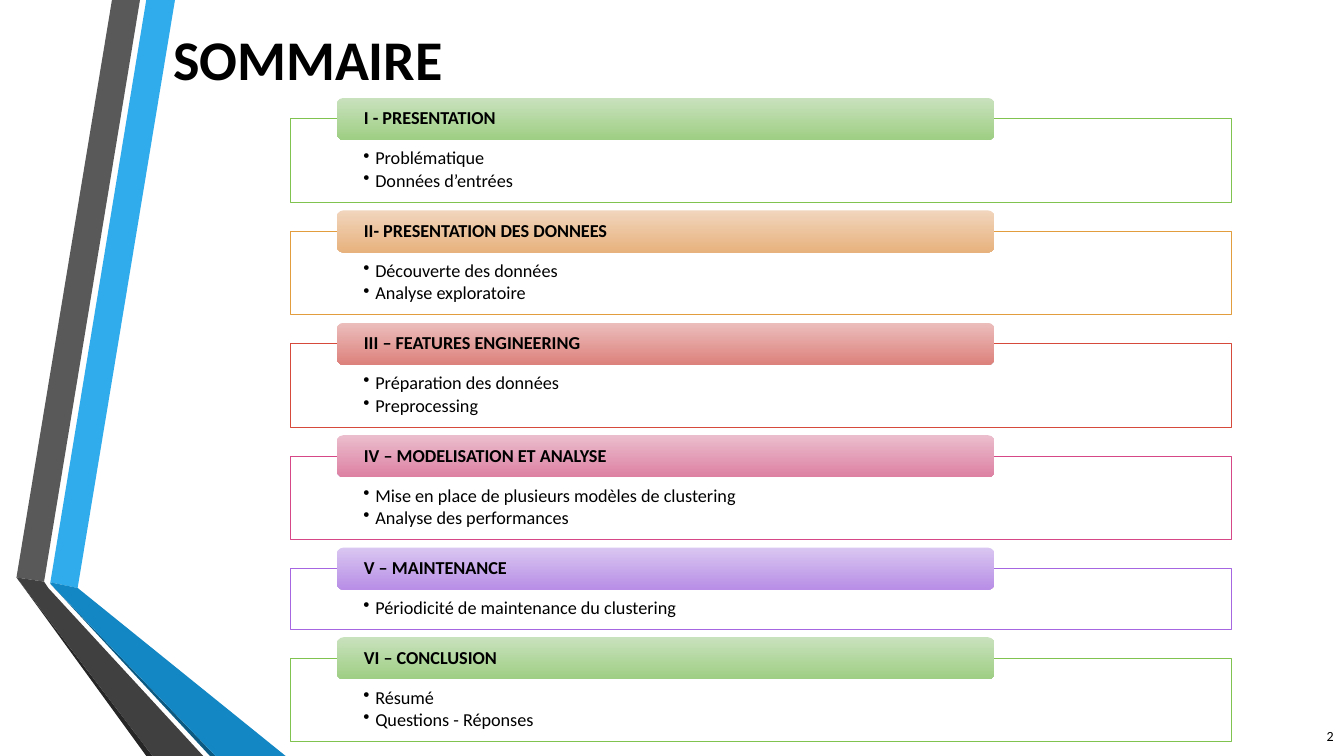
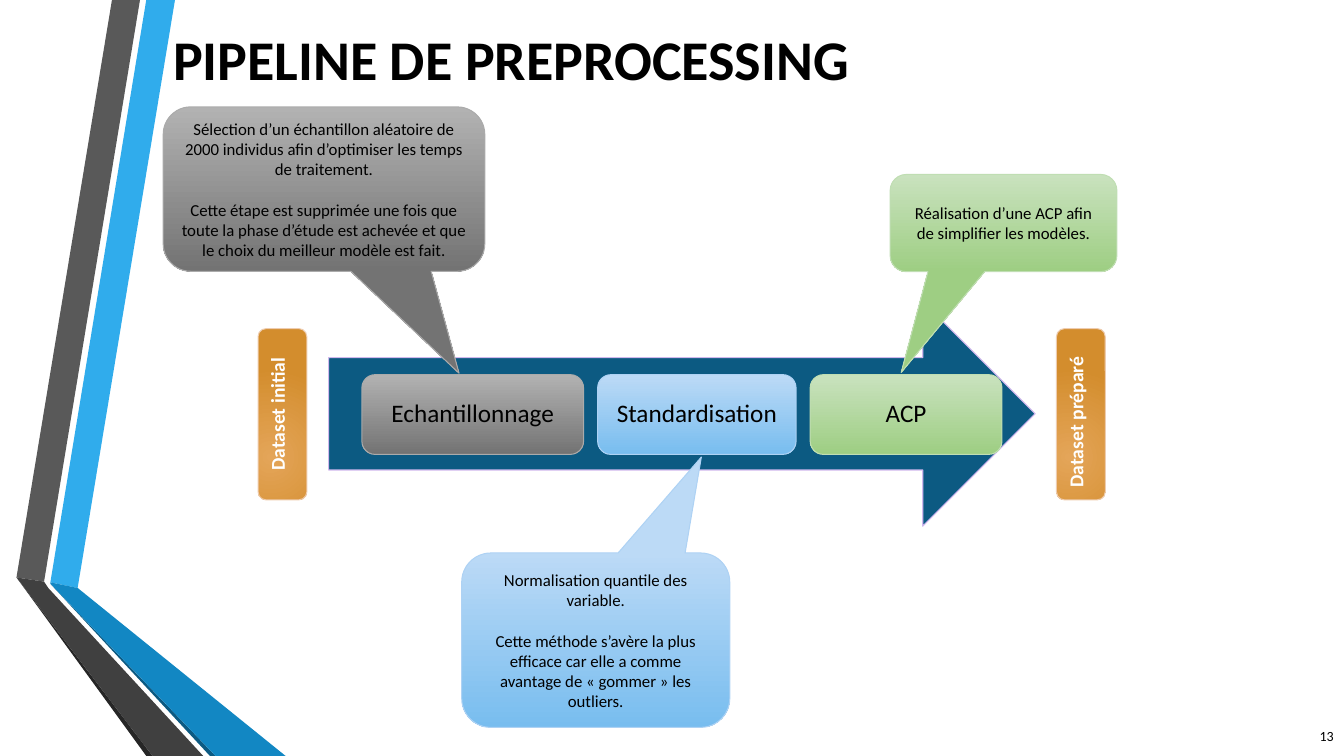
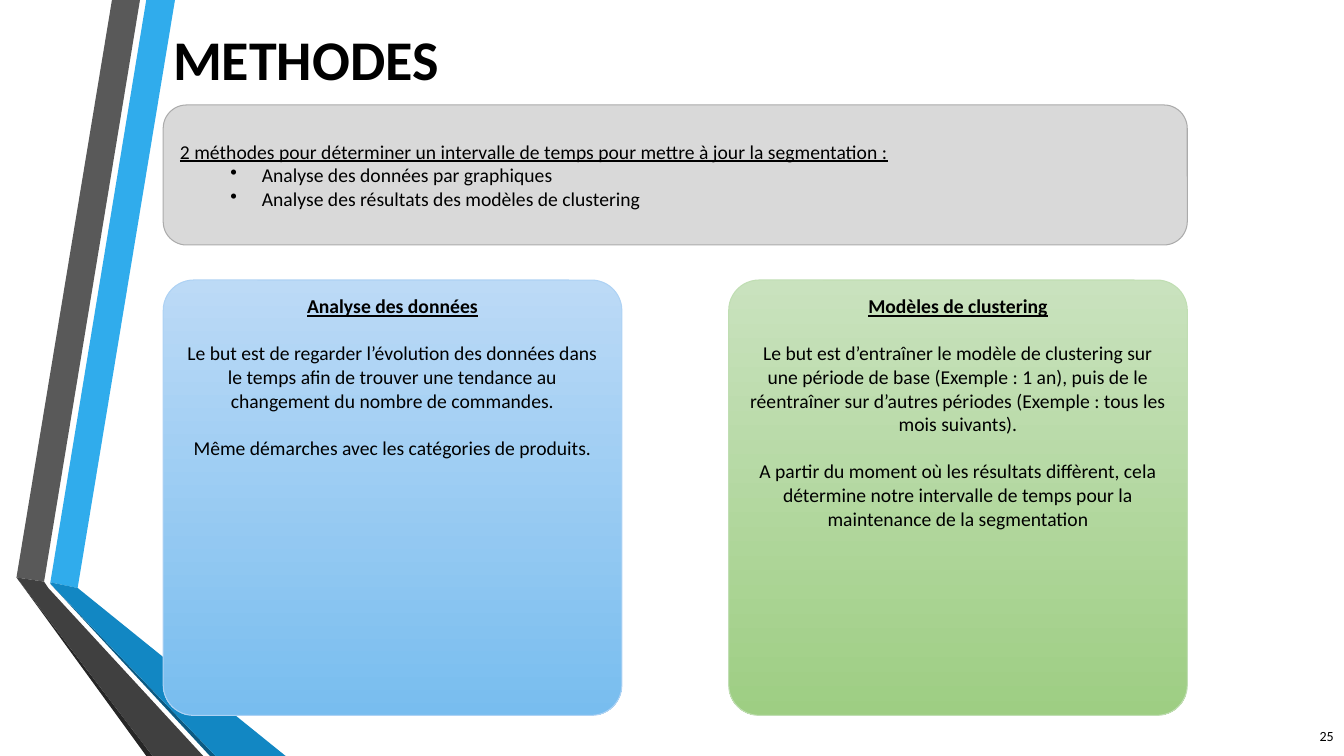
import pptx
import pptx.dml.color
import pptx.enum.shapes
import pptx.enum.text
import pptx.oxml
import pptx.oxml.ns
import pptx.util

Pt = pptx.util.Pt
SHAPE = pptx.enum.shapes.MSO_SHAPE
ALIGN = pptx.enum.text.PP_ALIGN
ANCHOR = pptx.enum.text.MSO_ANCHOR

FONT = "Calibri"
COLORS = {
    "black": "000000", "white": "FFFFFF", "panel": "D9D9D9",
    "sky": "30ACEC", "ocean": "1287C3", "navy": "0C5A82",
    "slate": "595959", "coal": "404040", "night": "262626",
    "arrow_line": "D0B8EE",
    # Gradients: start, end, outline
    "green_start": "C9E2BE", "green_end": "9ECE83", "green_line": "C0DEB3",
    "blue_start": "BCDAF6", "blue_end": "78BDEF", "blue_line": "AED2F4",
    "grey_start": "B2B2B2", "grey_end": "737373", "grey_line": "ABABAB",
    "amber_start": "E4A559", "amber_end": "D38D2D", "amber_line": "EECCAF",
    "orange_start": "F1D5BD", "orange_end": "E7B27D",
    "red_start": "EBBEBC", "red_end": "DD817C",
    "pink_start": "EBBECD", "pink_end": "DD80A2",
    "violet_start": "D9C6F1", "violet_end": "B88EE6",
    # Frames of the agenda
    "green_frame": "80C34F", "orange_frame": "E29D3E", "red_frame": "D64A3B",
    "pink_frame": "D64787", "violet_frame": "A666E1",
}

# Ribbon at the left edge of every slide
RIBBON = [
    ("sky", [(36, 416), (55.5, 420), (125, 0), (104.5, 0)]),
    ("slate", [(100, 0), (80, 0), (11.8, 412.5), (31.5, 415.5)]),
    ("night", [(11.8, 412.5), (104.5, 540), (109, 540)]),
    ("navy", [(36, 417), (150, 540), (154, 540)]),
    ("ocean", [(36, 417), (154, 540), (204, 540), (55.5, 420), (36, 416)]),
    ("coal", [(145.2, 540), (34.5, 420), (31.5, 415.5), (11.8, 412.5),
              (109, 540)]),
]


def rgb(name):
    return pptx.dml.color.RGBColor.from_string(COLORS[name])


def write(tf, text, size=12, color="black", bold=False, underline=False,
          align=ALIGN.LEFT, before=0, after=0, spacing=1.0, bullet=None):
    """Add one paragraph; bullet is a (margin, hanging) pair."""
    p = tf.paragraphs[0]
    if p.runs:
        p = tf.add_paragraph()
    p.alignment = align
    p.space_before, p.space_after = Pt(before), Pt(after)
    p.line_spacing = spacing
    if bullet:
        margin, hanging = bullet
        pPr = p._p.get_or_add_pPr()
        pPr.set("marL", str(Pt(margin)))
        pPr.set("indent", str(-Pt(hanging)))
        pPr.append(pptx.oxml.parse_xml(
            '<a:buChar %s char="•"/>' % pptx.oxml.ns.nsdecls("a")))
    r = p.add_run()
    r.text = text
    r.font.name, r.font.size = FONT, Pt(size)
    r.font.bold, r.font.underline = bold, underline
    r.font.color.rgb = rgb(color)


class Deck:
    def __init__(self):
        self.prs = pptx.Presentation()
        self.prs.slide_width, self.prs.slide_height = Pt(960), Pt(540)
        self.s = None

    def slide(self, title, number):
        self.s = self.prs.slides.add_slide(self.prs.slide_layouts[6])
        for color, points in RIBBON:
            self.polygon(color, points)
        self.text_box((116.6, 0, 789, 83.5), title, size=40, bold=True)
        self.text_box((916.6, 511, 43.2, 28.8), str(number), size=10,
                      align=ALIGN.RIGHT)

    def polygon(self, color, points):
        start, *rest = [(Pt(x), Pt(y)) for x, y in points]
        builder = self.s.shapes.build_freeform(*start)
        builder.add_line_segments(rest, close=True)
        self.paint(builder.convert_to_shape(), color)

    def paint(self, sp, fill, line=None):
        """Fill with a plain colour, or with a gradient of that name."""
        sp.shadow.inherit = False
        if fill in COLORS:
            sp.fill.solid()
            sp.fill.fore_color.rgb = rgb(fill)
        else:
            sp.fill.gradient()
            sp.fill.gradient_angle = 270
            for stop, end in zip(sp.fill.gradient_stops, ("start", "end")):
                stop.color.rgb = rgb(f"{fill}_{end}")
        if line:
            sp.line.color.rgb = rgb(line)
            sp.line.width = Pt(0.75)
        else:
            sp.line.fill.background()

    def frame(self, sp, insets, anchor):
        tf = sp.text_frame
        tf.word_wrap = True
        tf.vertical_anchor = anchor
        (tf.margin_left, tf.margin_top,
         tf.margin_right, tf.margin_bottom) = map(Pt, insets)
        return tf

    def text_box(self, box, text, **fmt):
        sp = self.s.shapes.add_textbox(*map(Pt, box))
        write(self.frame(sp, (7.2, 3.6, 7.2, 3.6), ANCHOR.MIDDLE), text, **fmt)

    def shape(self, kind, box, fill, line=None, adj=(),
              insets=(7.2, 3.6, 7.2, 3.6), anchor=ANCHOR.MIDDLE):
        sp = self.s.shapes.add_shape(kind, *map(Pt, box))
        for i, value in enumerate(adj):
            sp.adjustments[i] = value
        self.paint(sp, fill, line)
        self.frame(sp, insets, anchor)
        return sp

    def section(self, top, height, color, heading, items):
        """Agenda entry: framed bullets with a heading tab on the edge."""
        sp = self.shape(SHAPE.RECTANGLE, (207.5, top, 672, height), "white",
                        f"{color}_frame", insets=(52, 21.6, 52, 7.2),
                        anchor=ANCHOR.TOP)
        for item in items:
            write(sp.text_frame, item, size=13, after=2, spacing=0.9,
                  bullet=(8.6, 8.6))
        sp = self.shape(SHAPE.ROUNDED_RECTANGLE, (240.5, top - 15, 470, 30.2),
                        color, insets=(18, 0, 18, 0))
        write(sp.text_frame, heading, size=13, bold=True, spacing=0.9)

    def step(self, box, color, label):
        sp = self.shape(SHAPE.ROUNDED_RECTANGLE, box, color, f"{color}_line",
                        insets=(5, 5, 5, 5))
        write(sp.text_frame, label, size=18, align=ALIGN.CENTER, spacing=0.9)

    def callout(self, box, color, tip, texts):
        sp = self.shape(SHAPE.ROUNDED_RECTANGULAR_CALLOUT, box, color,
                        f"{color}_line", adj=(*tip, 0.167))
        for i, text in enumerate(texts):
            write(sp.text_frame, text, align=ALIGN.CENTER,
                  before=14.6 if i else 0)

    def dataset(self, left, label, align):
        """Upright tag with a radial gradient."""
        sp = self.shape(SHAPE.ROUNDED_RECTANGLE, (left, 234.7, 34.9, 122.4),
                        "amber", "amber_line", anchor=ANCHOR.TOP)
        lin = sp._element.spPr.find(".//" + pptx.oxml.ns.qn("a:lin"))
        lin.getparent().replace(lin, pptx.oxml.parse_xml(
            '<a:path %s path="circle"><a:fillToRect l="50000" t="100000" '
            'r="100000" b="50000"/></a:path>' % pptx.oxml.ns.nsdecls("a")))
        sp.text_frame._txBody.bodyPr.set("vert", "vert270")
        write(sp.text_frame, label, size=14, color="white", bold=True,
              align=align)

    def panel(self, left, color, heading, texts):
        sp = self.shape(SHAPE.ROUNDED_RECTANGLE, (left, 200, 327.6, 311),
                        color, f"{color}_line", adj=(0.07,),
                        anchor=ANCHOR.TOP)
        write(sp.text_frame, heading, size=14, bold=True, underline=True,
              align=ALIGN.CENTER)
        for text in texts:
            write(sp.text_frame, text, size=14, align=ALIGN.CENTER,
                  before=17.1)


def agenda(deck):
    deck.slide("SOMMAIRE", 2)
    sections = [
        ("green", "I - PRESENTATION", ["Problématique", "Données d’entrées"]),
        ("orange", "II- PRESENTATION DES DONNEES",
         ["Découverte des données", "Analyse exploratoire"]),
        ("red", "III – FEATURES ENGINEERING",
         ["Préparation des données", "Preprocessing"]),
        ("pink", "IV – MODELISATION ET ANALYSE",
         ["Mise en place de plusieurs modèles de clustering",
          "Analyse des performances"]),
        ("violet", "V – MAINTENANCE",
         ["Périodicité de maintenance du clustering"]),
        ("green", "VI – CONCLUSION", ["Résumé", "Questions - Réponses"]),
    ]
    top = 84.9
    for color, heading, items in sections:
        height = 27.2 + 16.3 * len(items)
        deck.section(top, height, color, heading, items)
        top += height + 20.5


def pipeline(deck):
    deck.slide("PIPELINE DE PREPROCESSING", 13)
    # Arrow and its steps
    deck.shape(SHAPE.RIGHT_ARROW, (234.7, 215.3, 504.7, 160.6), "navy",
               "arrow_line")
    left = 258.5
    for width, color, label in [(158.4, "grey", "Echantillonnage"),
                                (141.8, "blue", "Standardisation"),
                                (137, "green", "ACP")]:
        deck.step((left, 267.6, width, 57), color, label)
        left += width + 10
    # Explanations
    deck.callout((116.6, 76.4, 229.7, 117.4), "grey", (0.42, 1.12), [
        "Sélection d’un échantillon aléatoire de 2000 individus afin "
        "d’optimiser les temps de traitement.",
        "Cette étape est supprimée une fois que toute la phase d’étude est "
        "achevée et que le choix du meilleur modèle est fait."])
    deck.callout((329.8, 395, 191.5, 124.6), "blue", (0.394, -1.05), [
        "Normalisation quantile des variable.",
        "Cette méthode s’avère la plus efficace car elle a comme avantage "
        "de « gommer » les outliers."])
    deck.callout((635.8, 124.6, 162, 69.5), "green", (-0.451, 1.535), [
        "Réalisation d’une ACP afin de simplifier les modèles."])
    # Input and output
    deck.dataset(184.3, "Dataset initial", ALIGN.CENTER)
    deck.dataset(754.6, "Dataset préparé", ALIGN.LEFT)


def methods(deck):
    deck.slide("METHODES", 25)
    sp = deck.shape(SHAPE.ROUNDED_RECTANGLE, (116.6, 75, 731.5, 100),
                    "panel", "grey_line")
    write(sp.text_frame, "2 méthodes pour déterminer un intervalle de temps "
          "pour mettre à jour la segmentation :", size=14, underline=True)
    for item in ["Analyse des données par graphiques",
                 "Analyse des résultats des modèles de clustering"]:
        write(sp.text_frame, item, size=14, bullet=(58.5, 22.5))
    # Two methods side by side
    deck.panel(116.6, "blue", "Analyse des données", [
        "Le but est de regarder l’évolution des données dans le temps afin "
        "de trouver une tendance au changement du nombre de commandes.",
        "Même démarches avec les catégories de produits."])
    deck.panel(520.5, "green", "Modèles de clustering", [
        "Le but est d’entraîner le modèle de clustering sur une période de "
        "base (Exemple : 1 an), puis de le réentraîner sur d’autres périodes "
        "(Exemple : tous les mois suivants).",
        "A partir du moment où les résultats diffèrent, cela détermine notre "
        "intervalle de temps pour la maintenance de la segmentation"])


def main():
    deck = Deck()
    agenda(deck)
    pipeline(deck)
    methods(deck)
    deck.prs.save("out.pptx")


if __name__ == "__main__":
    main()
